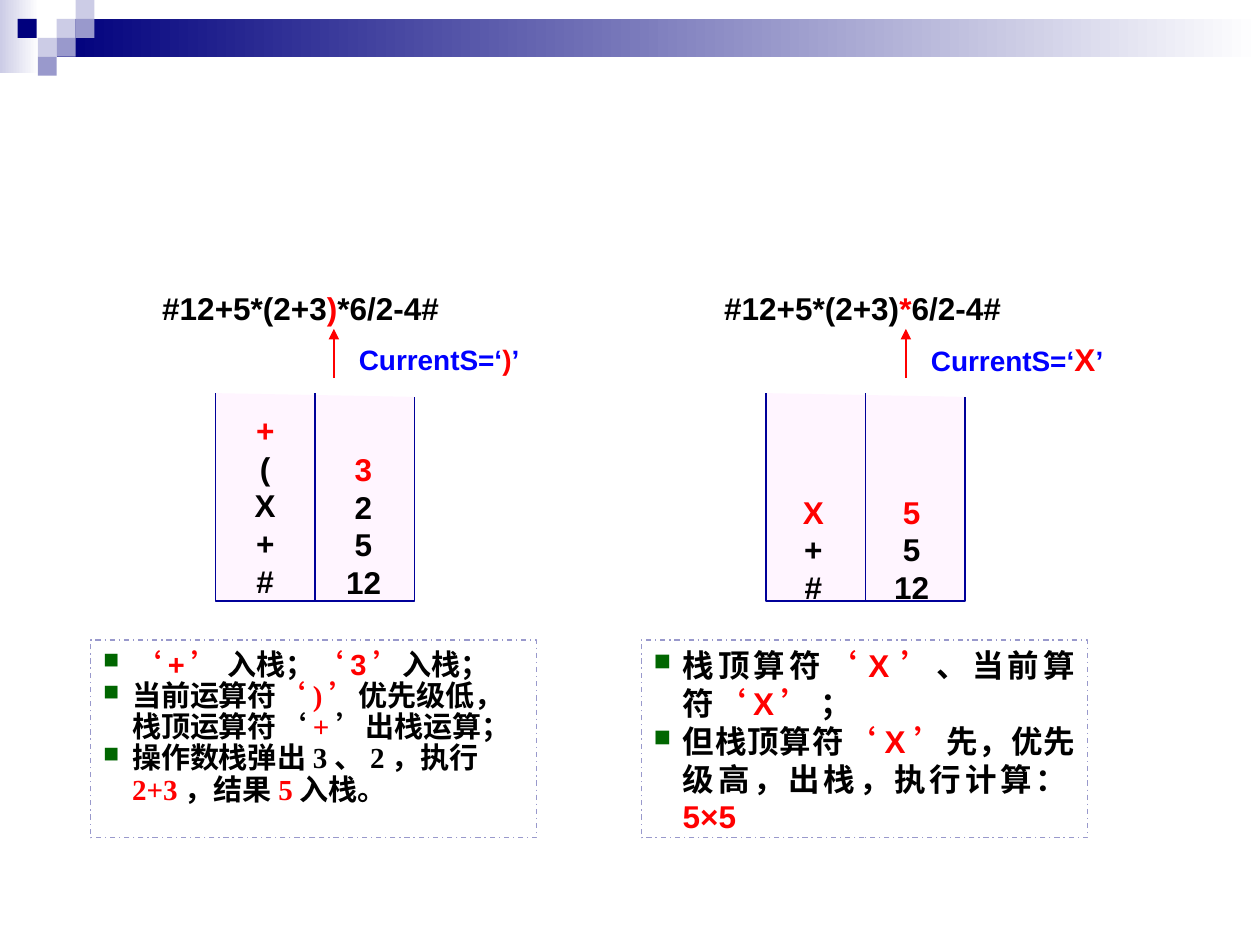
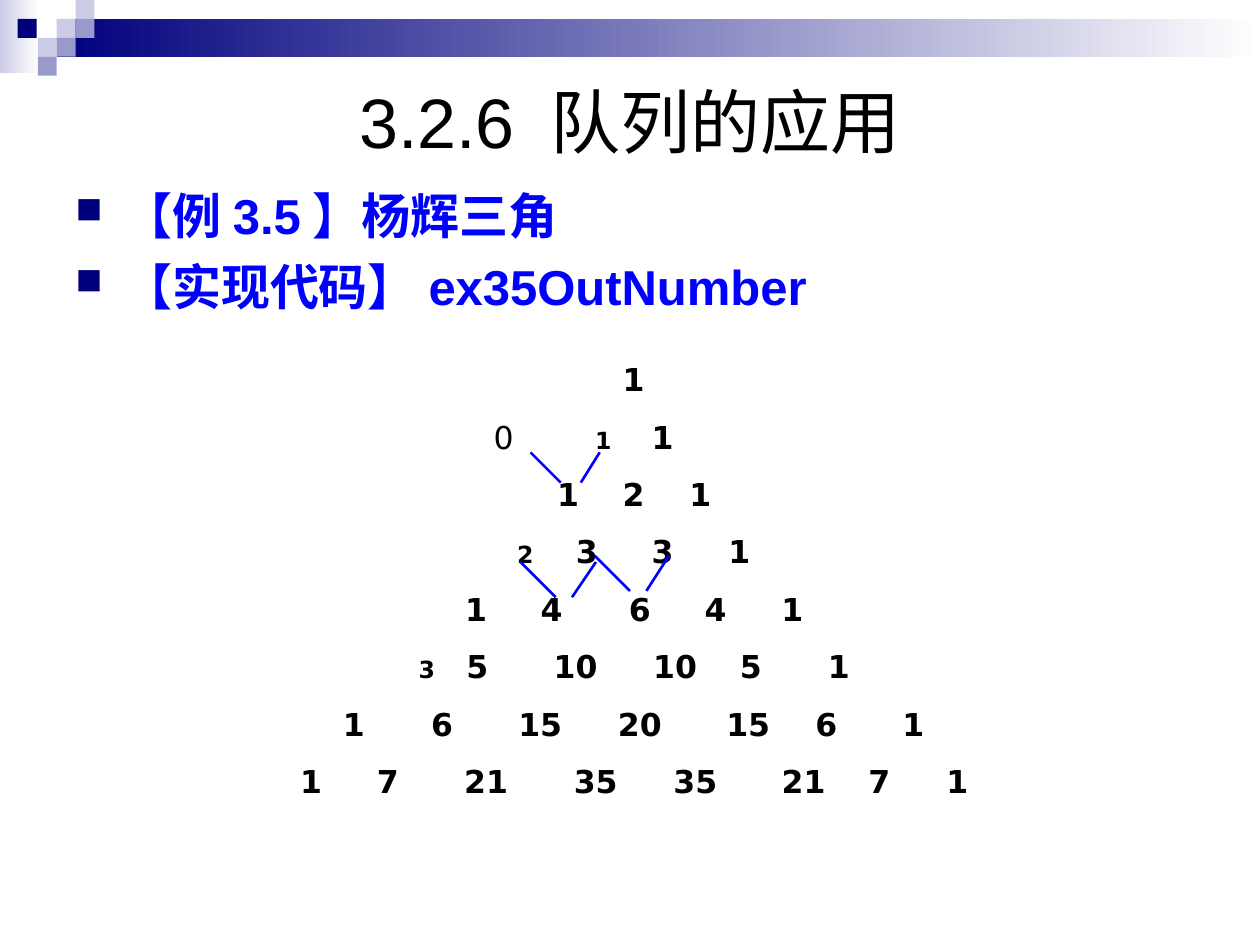
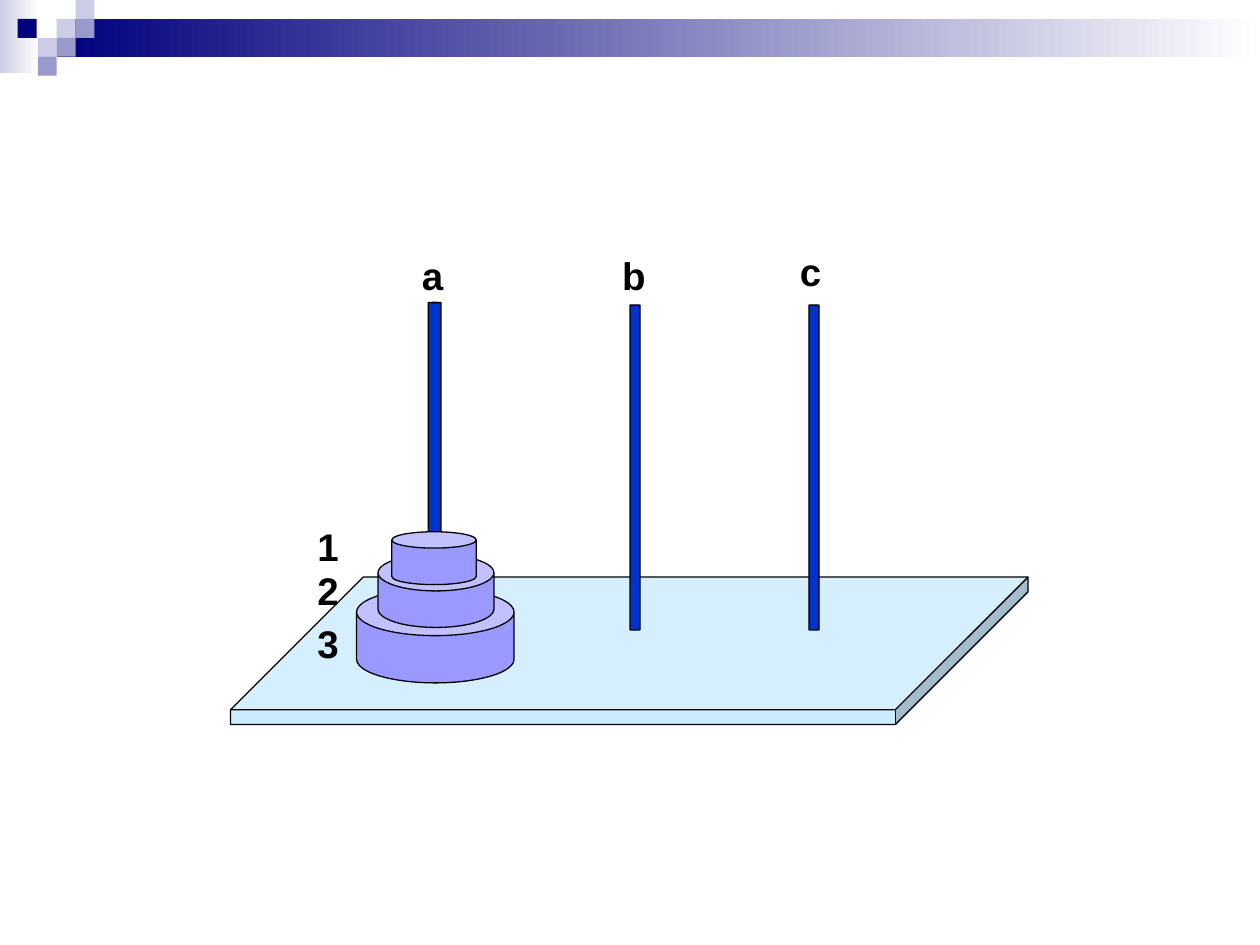
"""Build three slides: operator stacks, the Yang Hui triangle and the Hanoi tower."""
from lxml import etree
from pptx import Presentation
from pptx.dml.color import RGBColor
from pptx.enum.dml import MSO_LINE
from pptx.enum.shapes import MSO_CONNECTOR, MSO_SHAPE
from pptx.enum.text import MSO_ANCHOR, PP_ALIGN
from pptx.oxml.ns import qn
from pptx.util import Inches, Pt

RECT, CUBE, CAN = MSO_SHAPE.RECTANGLE, MSO_SHAPE.CUBE, MSO_SHAPE.CAN
STRAIGHT = MSO_CONNECTOR.STRAIGHT
DASH_DOT = MSO_LINE.DASH_DOT
TOP, MIDDLE = MSO_ANCHOR.TOP, MSO_ANCHOR.MIDDLE
LEFT, CENTER, JUSTIFY = PP_ALIGN.LEFT, PP_ALIGN.CENTER, PP_ALIGN.JUSTIFY

COLORS = {
    "black": "000000", "white": "FFFFFF", "red": "FF0000", "blue": "0000FF",
    "navy": "00007D", "pale": "CCCCE6", "lilac": "9999CC", "green": "006600",
    "stack": "FFF5FF", "stack line": "000099", "board": "CCECFF",
    "pole": "0033CC", "disc": "9999FF",
}

FADES = [((0, 0, 0.31, 0.58), "pale"), ((0.45, 0.15, 9.55, 0.3), "navy")]
TILE = 0.15
TILES = [(0.45, 0.15, "pale"), (0.6, 0, "pale"), (0.6, 0.15, "lilac"),
         (0.3, 0.3, "pale"), (0.14, 0.15, "navy"), (0.45, 0.3, "lilac"),
         (0.3, 0.45, "lilac")]

STACK_STEPS = [
    {
        "expression": [("#12+5*(2+3", "black"), (")", "red"), ("*6/2-4# ", "black")],
        "expression left": 1.08, "arrow x": 2.65,
        "current": [("CurrentS=‘", "blue"), (")", "red"), ("’", "blue")],
        "current at": (2.75, 2.67, 1.53, 0.37), "current sizes": (16, 16, 16),
        "stack left": 1.71,
        "columns": [((1.87, 3.17, 0.47, 1.68), ["+", "(", "X", "+", "#"]),
                    ((2.53, 3.5, 0.71, 1.34), ["3", "2", "5", "12"])],
        "note left": 0.72, "note size": 16.6, "note align": LEFT,
        "note fonts": ["Arial", "Times New Roman", "Times New Roman"],
        "note lines": [1.0, 0.9, 0.9],
        "note": [
            [("‘+’ ", "red"), ("入栈；", "black"), ("‘3’", "red"), ("入栈；", "black")],
            [("当前运算符", "black"), ("‘)’", "red"), ("优先级低，栈顶运算符‘", "black"),
             ("+", "red"), ("’出栈运算；", "black")],
            [("操作数栈弹出3、2，执行", "black"), ("2+3", "red"), ("，结果", "black"),
             ("5", "red"), ("入栈。", "black")],
        ],
    },
    {
        "expression": [("#12+5*(2+3)", "black"), ("*", "red"), ("6/2-4# ", "black")],
        "expression left": 5.54, "arrow x": 7.19,
        "current": [("CurrentS=‘", "blue"), ("X", "red"), ("’", "blue")],
        "current at": (7.29, 2.65, 1.63, 0.4), "current sizes": (16, 18, 16),
        "stack left": 6.08,
        "columns": [((6.22, 3.89, 0.47, 0.94), ["X", "+", "#"]),
                    ((6.88, 3.89, 0.71, 0.94), ["5", "5", "12"])],
        "note left": 5.09, "note size": 18, "note align": JUSTIFY,
        "note fonts": ["Arial", "Arial"], "note lines": [1.0, 1.0],
        "note": [
            [("栈顶算符", "black"), ("‘X’", "red"), ("、当前算符", "black"),
             ("‘X’ ", "red"), ("；", "black")],
            [("但栈顶算符", "black"), ("‘X’", "red"),
             ("先，优先级高，出栈，执行计算：", "black"), ("5×5", "red")],
        ],
    },
]

TITLE = "3.2.6 队列的应用"
TOPICS = ["【例3.5】杨辉三角", "【实现代码】ex35OutNumber"]
TRIANGLE_LEFT = 0.43
TRIANGLE = [
    [(1, 5.03)],
    [(1, 4.79), (1, 5.26)],
    [(1, 4.51), (2, 5.03), (1, 5.56)],
    [(2, 4.17), (3, 4.66), (3, 5.26), (1, 5.87)],
    [(1, 3.78), (4, 4.38), (6, 5.08), (4, 5.68), (1, 6.29)],
    [(3, 3.39), (5, 3.79), (10, 4.57), (10, 5.36), (5, 5.96), (1, 6.66)],
    [(1, 2.81), (6, 3.51), (15, 4.29), (20, 5.08), (15, 5.94), (6, 6.56), (1, 7.25)],
    [(1, 2.47), (7, 3.08), (21, 3.86), (35, 4.73), (35, 5.52), (21, 6.38), (7, 6.98),
     (1, 7.6)],
]
SMALL_START_ROWS = (1, 3, 5)
SUM_LINES = [(4.21, 3.59, 4.45, 3.83), (4.76, 3.59, 4.61, 3.83),
             (4.72, 4.41, 5, 4.69), (5.31, 4.41, 5.13, 4.69),
             (4.13, 4.46, 4.41, 4.74), (4.73, 4.46, 4.54, 4.74)]

POLES = [("a", (3.4, 2.4, 0.1, 2.85), (3.25, 1.95)),
         ("b", (5, 2.42, 0.08, 2.58), (4.84, 1.95)),
         ("c", (6.42, 2.42, 0.08, 2.58), (6.25, 1.92))]
DISCS = [("3", (2.83, 4.67, 1.25, 0.75), 0.5, 4.87),
         ("2", (3, 4.4, 0.92, 0.58), 0.5, 4.45),
         ("1", (3.11, 4.22, 0.67, 0.42), 0.31, 4.1)]


def rgb(name):
    return RGBColor.from_string(COLORS[name])


def inches(values):
    return [Inches(value) for value in values]


def style(shape, fill=None, line=None):
    shape.shadow.inherit = False
    if fill:
        shape.fill.solid()
        shape.fill.fore_color.rgb = rgb(fill)
    else:
        shape.fill.background()
    if line:
        shape.line.color.rgb = rgb(line)
        shape.line.width = Pt(0.75)
    else:
        shape.line.fill.background()


def add_block(page, kind, at, fill=None, line=None, adjust=None):
    shape = page.shapes.add_shape(kind, *inches(at))
    style(shape, fill, line)
    if adjust is not None:
        shape.adjustments[0] = adjust
    return shape


def add_line(page, ends, color, width=1.5, arrow=False):
    line = page.shapes.add_connector(STRAIGHT, *inches(ends))
    line.line.color.rgb = rgb(color)
    line.line.width = Pt(width)
    if arrow:
        etree.SubElement(line.line._get_or_add_ln(), qn("a:tailEnd"), type="triangle")
    etree.SubElement(line._element.spPr, qn("a:effectLst"))


def add_bullet(para, color, indent):
    props = para._p.get_or_add_pPr()
    props.set("marL", str(Inches(indent)))
    props.set("indent", str(-Inches(indent)))
    tint = etree.SubElement(props, qn("a:buClr"))
    etree.SubElement(tint, qn("a:srgbClr"), val=COLORS[color])
    etree.SubElement(props, qn("a:buSzPct"), val="75000")
    etree.SubElement(props, qn("a:buChar"), char="■")


def add_center_tabs(para, stops):
    tabs = etree.SubElement(para._p.get_or_add_pPr(), qn("a:tabLst"))
    for stop in stops:
        etree.SubElement(tabs, qn("a:tab"), pos=str(Inches(stop)), algn="ctr")


def write(shape, paras, size=18, sizes=None, fonts="Arial", bold=True, align=LEFT,
          anchor=TOP, wrap=False, before=0, lines=None, bullet=None, indent=0, tabs=None):
    """Write paragraphs given as lists of (text, color) spans."""
    frame = shape.text_frame
    frame.word_wrap = wrap
    frame.vertical_anchor = anchor
    for index, spans in enumerate(paras):
        para = frame.paragraphs[0] if index == 0 else frame.add_paragraph()
        para.alignment = align
        para.line_spacing = lines[index] if lines else 1.0
        if index and before:
            para.space_before = Pt(before)
        if bullet:
            add_bullet(para, bullet, indent)
        if tabs:
            add_center_tabs(para, tabs[index])
        for place, (text, color) in enumerate(spans):
            span = para.add_run()
            span.text = text
            span.font.size = Pt(sizes[index][place] if sizes else size)
            span.font.name = fonts if isinstance(fonts, str) else fonts[index]
            span.font.bold = bold
            span.font.color.rgb = rgb(color)


def add_text(page, at, paras, **layout):
    write(page.shapes.add_textbox(*inches(at)), paras, **layout)


def add_page(deck):
    page = deck.slides.add_slide(deck.slide_layouts[6])
    for at, color in FADES:
        band = add_block(page, RECT, at)
        band.fill.gradient()
        band.fill.gradient_angle = 0
        for stop, name in zip(band.fill.gradient_stops, (color, "white")):
            stop.color.rgb = rgb(name)
    for left, top, color in TILES:
        add_block(page, RECT, (left, top, TILE, TILE), color)
    return page


def add_stack(page, left):
    top, low_top, bottom, width = 3.12, 3.15, 4.77, 1.58
    right = left + width
    outline = page.shapes.build_freeform(Inches(left), Inches(top))
    corners = [(left, bottom), (right, bottom), (right, low_top)]
    outline.add_line_segments([inches(corner) for corner in corners], close=False)
    style(outline.convert_to_shape(), "stack", "stack line")
    middle = left + width / 2
    add_line(page, (middle, top, middle, bottom), "stack line", 0.75)


def build_stacks(deck):
    page = add_page(deck)
    for step in STACK_STEPS:
        label = add_block(page, RECT, (step["expression left"], 2.25, 2.68, 0.39), "white")
        write(label, [step["expression"]], align=CENTER, anchor=MIDDLE)
        add_stack(page, step["stack left"])
        add_line(page, (step["arrow x"], 3, step["arrow x"], 2.61), "red", arrow=True)
        add_text(page, step["current at"], [step["current"]],
                 sizes=[step["current sizes"]], anchor=MIDDLE)
        for at, items in step["columns"]:
            paras = [[(item, "black" if index else "red")]
                     for index, item in enumerate(items)]
            add_text(page, at, paras, align=CENTER, anchor=MIDDLE)
        note = add_block(page, RECT, (step["note left"], 5.08, 3.54, 1.57), line="lilac")
        note.line.dash_style = DASH_DOT
        write(note, step["note"], size=step["note size"], fonts=step["note fonts"],
              align=step["note align"], lines=step["note lines"], wrap=True,
              bullet="green", indent=0.23)


def build_triangle(deck):
    page = add_page(deck)
    add_text(page, (0.5, 0.5, 9, 0.92), [[(TITLE, "black")]], size=40, bold=False,
             align=CENTER, anchor=MIDDLE, wrap=True)
    add_text(page, (0.5, 1.42, 9, 5.67), [[(topic, "blue")] for topic in TOPICS],
             size=28, before=7, wrap=True, bullet="navy", indent=0.38)
    text_left = TRIANGLE_LEFT + 0.1
    paras = [[(f"\t{number}", "black") for number, _ in row] for row in TRIANGLE]
    tabs = [[center - text_left for _, center in row] for row in TRIANGLE]
    sizes = [[13.5 if index in SMALL_START_ROWS and place == 0 else 18
              for place in range(len(row))] for index, row in enumerate(TRIANGLE)]
    add_text(page, (TRIANGLE_LEFT, 2.81, 9.21, 3.6), paras, sizes=sizes,
             fonts="DejaVu Sans", before=11.2, wrap=True, tabs=tabs)
    add_text(page, (3.82, 3.27, 0.47, 0.4), [[("0", "black")]], fonts="DejaVu Sans",
             bold=False, wrap=True)
    for ends in SUM_LINES:
        add_line(page, ends, "blue")


def build_tower(deck):
    page = add_page(deck)
    add_block(page, CUBE, (1.83, 4.58, 6.33, 1.17), "board", "black", 0.9)
    for name, at, (left, top) in POLES:
        add_block(page, CAN, at, "pole", "black", 0.03)
        add_text(page, (left, top, 0.37, 0.47), [[(name, "black")]], size=22)
    for name, at, curve, top in DISCS:
        add_block(page, CAN, at, "disc", "black", curve)
        add_text(page, (2.42, top, 0.37, 0.47), [[(name, "black")]], size=22)


def main():
    deck = Presentation()
    deck.slide_width, deck.slide_height = Inches(10), Inches(7.5)
    build_stacks(deck)
    build_triangle(deck)
    build_tower(deck)
    deck.save("out.pptx")


if __name__ == "__main__":
    main()
